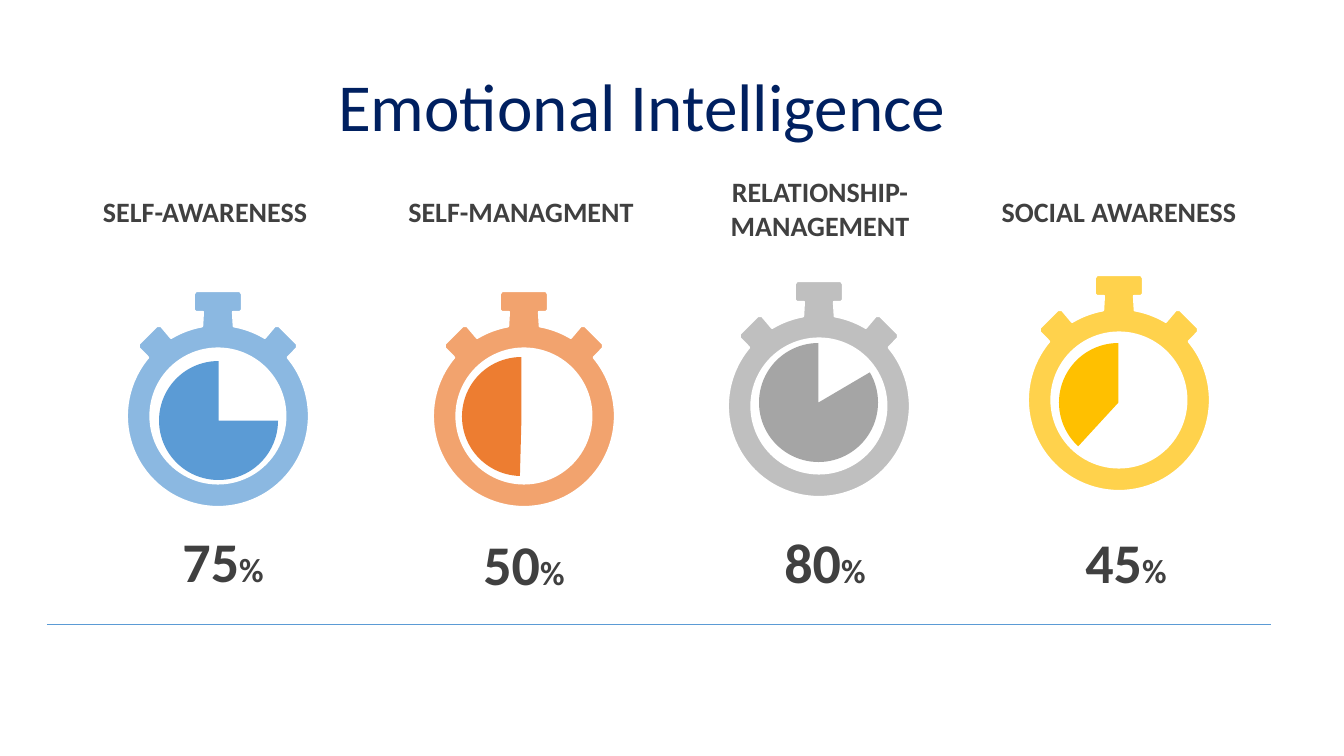
"""Build the Emotional Intelligence slide with four stopwatch gauges."""
from math import atan2, cos, degrees, hypot, radians, sin

from lxml.etree import Element, SubElement
from pptx import Presentation
from pptx.dml.color import RGBColor
from pptx.enum.shapes import MSO_CONNECTOR, MSO_SHAPE
from pptx.enum.text import MSO_ANCHOR, PP_ALIGN
from pptx.oxml.ns import qn
from pptx.util import Pt

SKILLS = [
    dict(label="SELF-AWARENESS\t", value="75", color="5B9BD5", start=0,
         watch=(218, 416), pie=(159, 361), label_box=(190, 78), value_top=526),
    dict(label="SELF-MANAGMENT", value="50", color="ED7D31", start=91.52,
         watch=(524, 416), pie=(462, 357), label_box=(190, 44), value_top=529),
    dict(label="RELATIONSHIP-MANAGEMENT", value="80", color="A5A5A5", start=329.54,
         watch=(819, 406), pie=(759, 343), label_box=(170, 78), value_top=527),
    dict(label="SOCIAL AWARENESS", value="45", color="FFC000", start=132.61,
         watch=(1119, 400), pie=(1059, 343), label_box=(190, 44), value_top=527),
]
NAVY, GREY, BLUE, WHITE = "002060", "404040", "5B9BD5", "FFFFFF"
CROWN = [(22, -125), (24, -122), (24, -106), (22, -104), (15, -104)]
LUG = [(57, -90), (61, -90), (79, -72), (79, -68)]
RIM, DIAL, PIE = 91, 67.5, 119
BOX_W, VALUE_H = 258, 68
LABEL_LEFT, LABEL_STEP = 93, 299
VALUE_LEFT, VALUE_STEP = 94, 301


def px(n):
    return round(n * 914400 / 100.8)


def rgb(color):
    return RGBColor.from_string(color)


def on_circle(radius, *angles):
    return [(radius * cos(radians(a)), radius * sin(radians(a))) for a in angles]


def add_text(s, box, runs, color=GREY, bold=True, anchor=MSO_ANCHOR.TOP,
             margin=None, spacing=None):
    tf = s.shapes.add_textbox(*map(px, box)).text_frame
    tf.word_wrap = True
    tf.vertical_anchor = anchor
    if margin is not None:
        tf.margin_left = tf.margin_right = tf.margin_top = tf.margin_bottom = margin
    p = tf.paragraphs[0]
    p.alignment = PP_ALIGN.CENTER
    if spacing:
        p.line_spacing = spacing
    for text, size in runs:
        r = p.add_run()
        r.text = text
        r.font.name = "Calibri"
        r.font.size = Pt(size)
        r.font.bold = bold
        r.font.color.rgb = rgb(color)


def round_segment(line, begin, end, radius):
    if any(abs(hypot(*pt) - radius) > 0.01 for pt in (begin, end)):
        return
    first, last = (degrees(atan2(y, x)) for x, y in (begin, end))
    values = dict(wR=px(radius), hR=px(radius), stAng=round(first % 360 * 60000),
                  swAng=round((last - first) % 360 * 60000))
    arc = Element(qn("a:arcTo"), {k: str(v) for k, v in values.items()})
    line.getparent().replace(line, arc)


def add_watch(s, center, color):
    cx, cy = center
    half = CROWN + on_circle(RIM, -80, -59) + LUG + on_circle(RIM, -40, 0, 90)
    body = half + [(-x, y) for x, y in reversed(half[:-1])]
    dial = on_circle(DIAL, 0, 90, 180, 270, 360)
    dial_pts, body_pts = [[(px(cx + x), px(cy + y)) for x, y in pts] for pts in (dial, body)]
    fb = s.shapes.build_freeform(*dial_pts[0])
    fb.add_line_segments(dial_pts[1:])
    fb.move_to(*body_pts[0])
    fb.add_line_segments(body_pts[1:])
    sp = fb.convert_to_shape()
    segments = [(a, b, radius) for pts, radius in ((dial, DIAL), (body, RIM))
                for a, b in zip(pts, pts[1:])]
    for line, segment in zip(list(sp.element.iter(qn("a:lnTo"))), segments):
        round_segment(line, *segment)
    sp.shadow.inherit = False
    sp.fill.solid()
    sp.fill.fore_color.rgb = rgb(color)
    clr = sp.element.spPr.find(qn("a:solidFill")).find(qn("a:srgbClr"))
    SubElement(clr, qn("a:alpha"), val="70000")
    sp.line.color.rgb = rgb(WHITE)
    sp.line.width = Pt(1.5)


def add_pie(s, corner, start, color):
    sp = s.shapes.add_shape(MSO_SHAPE.PIE, *map(px, (*corner, PIE, PIE)))
    sp.adjustments[0] = start * 0.6
    sp.adjustments[1] = 270 * 0.6
    sp.shadow.inherit = False
    sp.fill.solid()
    sp.fill.fore_color.rgb = rgb(color)
    sp.line.fill.background()


def main():
    prs = Presentation()
    prs.slide_width, prs.slide_height = px(1344), px(756)
    s = prs.slides.add_slide(prs.slide_layouts[6])
    add_text(s, (4, 72, 1276, 80), [("Emotional Intelligence", 48)], color=NAVY,
             bold=False, anchor=MSO_ANCHOR.MIDDLE, spacing=0.8)
    for i, skill in enumerate(SKILLS):
        add_watch(s, skill["watch"], skill["color"])
        add_pie(s, skill["pie"], skill["start"], skill["color"])
        add_text(s, (VALUE_LEFT + i * VALUE_STEP, skill["value_top"], BOX_W, VALUE_H),
                 [(skill["value"], 40), ("%", 24)], anchor=MSO_ANCHOR.MIDDLE, margin=0)
        top, height = skill["label_box"]
        add_text(s, (LABEL_LEFT + i * LABEL_STEP, top, BOX_W, height),
                 [(skill["label"], 20)])
    rule = s.shapes.add_connector(MSO_CONNECTOR.STRAIGHT, *map(px, (47, 624, 1271, 624)))
    rule.line.color.rgb = rgb(BLUE)
    rule.line.width = Pt(0.5)
    SubElement(rule.element.spPr, qn("a:effectLst"))
    prs.save("out.pptx")


if __name__ == "__main__":
    main()
